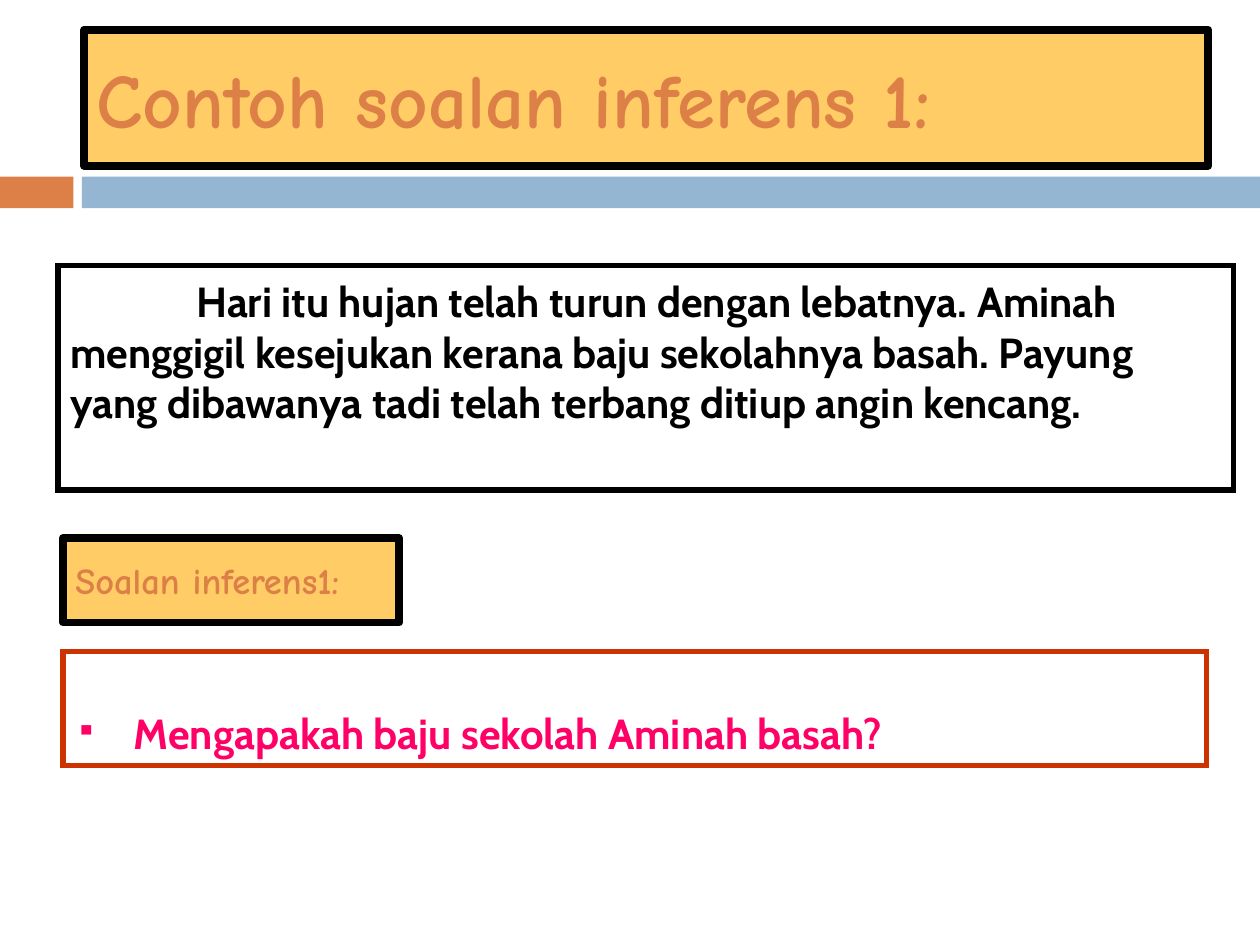
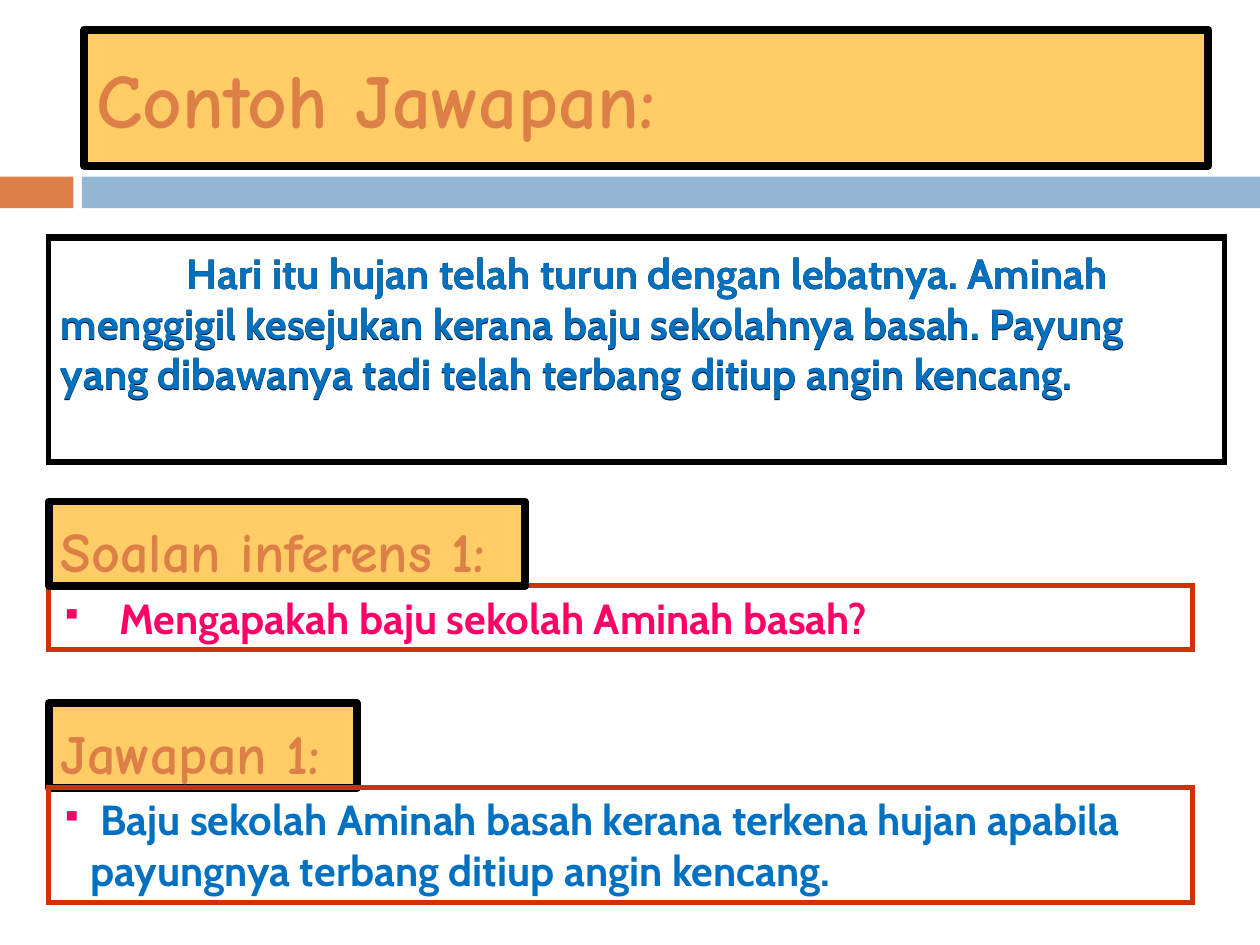
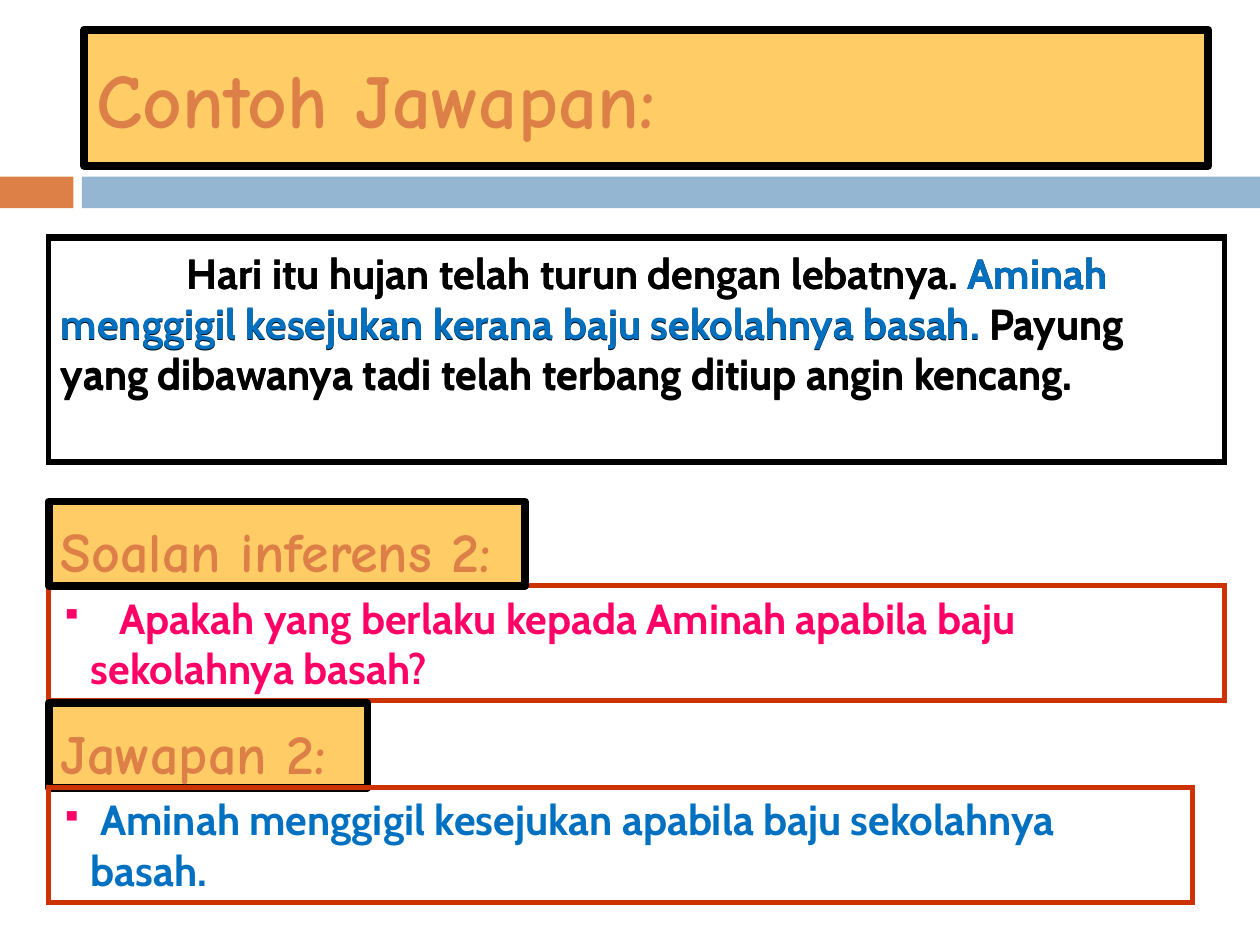
from dataclasses import dataclass

from lxml.etree import SubElement
from pptx import Presentation
from pptx.dml.color import RGBColor as Rgb
from pptx.enum.shapes import MSO_SHAPE as Preset
from pptx.enum.text import MSO_ANCHOR as Anchor, PP_ALIGN as Align
from pptx.oxml.ns import qn
from pptx.util import Cm, Pt


@dataclass(frozen=True)
class Theme:
    """Colours, fonts and type sizes that the slides share."""
    ink: str = "000000"
    orange: str = "DD8047"
    sky: str = "94B6D2"
    amber: str = "FFCC66"
    rust: str = "CC3300"
    pink: str = "FF0066"
    blue: str = "0070C0"
    display_font: str = "Comic Neue"
    body_font: str = "Cabin"
    title_size: float = 44
    tag_size: float = 32
    small_tag_size: float = 20.9
    body_size: float = 24
    thick: float = 4.5
    thin: float = 3


THEME = Theme()
LEFT = 0.98
FULL_WIDTH = 23.7
CARD_WIDTH = 23.06
TAG_HEIGHT = 1.7
STORY = (
    "Hari itu hujan telah turun dengan lebatnya. ",
    "Aminah menggigil kesejukan kerana baju sekolahnya basah. ",
    "Payung yang dibawanya tadi telah terbang ditiup angin kencang.",
)


def add_box(page, place, fill=None, line=None, weight=0):
    """Add a flat rectangle at (left, top, width, height) in centimetres."""
    box = page.shapes.add_shape(Preset.RECTANGLE, *map(Cm, place))
    box.shadow.inherit = False
    if fill:
        box.fill.solid()
        box.fill.fore_color.rgb = Rgb.from_string(fill)
    else:
        box.fill.background()
    if line:
        box.line.color.rgb = Rgb.from_string(line)
        box.line.width = Pt(weight)
    else:
        box.line.fill.background()
    return box


def square_corners(box):
    """Give the outline of a box sharp corners."""
    SubElement(box.line._get_or_add_ln(), qn("a:miter"), lim="800000")


def write(box, spans, font, size, anchor=Anchor.TOP, line_spacing=None):
    """Fill a box with one bold paragraph of (text, colour) spans."""
    frame = box.text_frame
    frame.word_wrap = True
    frame.vertical_anchor = anchor
    para = frame.paragraphs[0]
    para.alignment = Align.LEFT
    para.font.name = font
    para.font.size = Pt(size)
    para.font.bold = True
    if line_spacing:
        para.line_spacing = line_spacing
    for text, colour in spans:
        span = para.add_run()
        span.text = text
        span.font.color.rgb = Rgb.from_string(colour)
    return para


def indent(para, margin, first_line):
    """Set the left margin and first-line indent of a paragraph."""
    properties = para._p.get_or_add_pPr()
    properties.set("marL", str(Cm(margin)))
    properties.set("indent", str(Cm(first_line)))
    return properties


def add_tag(page, text, place, size, line_spacing=None):
    """Add an amber label with a thick black outline."""
    box = add_box(page, place, THEME.amber, THEME.ink, THEME.thick)
    write(box, [(text, THEME.orange)], THEME.display_font, size,
          Anchor.MIDDLE, line_spacing)


def add_story(page, left, top, colours):
    """Add the framed passage, one colour for each sentence."""
    box = add_box(page, (left, top, FULL_WIDTH, 4.52), None,
                  THEME.ink, THEME.thin)
    square_corners(box)
    box.text_frame.margin_top = Cm(0.2)
    para = write(box, zip(STORY, colours), THEME.body_font, THEME.body_size)
    indent(para, 0, 2.54)


def add_card(page, text, colour, place, lead_gap=0, line_spacing=None):
    """Add a rust-framed bullet whose first line starts after a gap in points."""
    box = add_box(page, place, None, THEME.rust, THEME.thin)
    square_corners(box)
    para = write(box, [(" ", THEME.pink), (text, colour)], THEME.body_font,
                 THEME.body_size, line_spacing=line_spacing)
    para.runs[0].font._element.set("spc", str(lead_gap * 100))
    properties = indent(para, 0.6, -0.6)
    SubElement(properties, qn("a:buSzPct"), val="70000")
    SubElement(properties, qn("a:buChar"), char="▪")


def add_question(page, text, place, line_spacing=None):
    """Add a pink question card."""
    add_card(page, text, THEME.pink, place, 11, line_spacing)


def add_page(deck, title):
    """Add a slide with the two bands and its title."""
    page = deck.slides.add_slide(deck.slide_layouts[6])
    add_box(page, (0, 3.56, 1.48, 0.64), THEME.orange)
    add_box(page, (1.65, 3.56, 23.75, 0.64), THEME.sky)
    add_tag(page, title, (1.7, 0.6, 22.66, 2.74), THEME.title_size)
    return page


def add_answer_page(deck, number, question, question_size, answer,
                    answer_tag_width, story_colours):
    """Add a slide with the passage, a question and its answer."""
    page = add_page(deck, "Contoh Jawapan:")
    add_story(page, LEFT, 4.8, [THEME.ink] * 3)
    add_question(page, question, (LEFT, 11.81, *question_size))
    for text, top, width in ((f"Soalan inferens {number}:", 10.11, 9.6),
                             (f"Jawapan {number}:", 14.18, answer_tag_width)):
        add_tag(page, text, (LEFT, top, width, TAG_HEIGHT),
                THEME.tag_size, 1.2)
    add_card(page, answer, THEME.blue, (LEFT, 15.88, CARD_WIDTH, 2.31))
    add_story(page, LEFT, 4.78, story_colours)


def main():
    """Build the deck and save it."""
    deck = Presentation()
    deck.slide_width, deck.slide_height = Cm(25.4), Cm(19.05)
    baju_question = "Mengapakah baju sekolah Aminah basah?"

    page = add_page(deck, "Contoh soalan inferens 1:")
    add_story(page, 1.17, 5.36, [THEME.ink] * 3)
    add_question(page, baju_question, (1.27, 13.13, CARD_WIDTH, 2.31), 2)
    add_tag(page, "Soalan inferens1:", (1.27, 10.85, 6.78, TAG_HEIGHT),
            THEME.small_tag_size)

    add_answer_page(
        deck, 1, baju_question, (CARD_WIDTH, 1.28),
        "Baju sekolah Aminah basah kerana terkena hujan apabila "
        "payungnya terbang ditiup angin kencang.",
        6.22, [THEME.blue] * 3)
    add_answer_page(
        deck, 2,
        "Apakah yang berlaku kepada Aminah apabila baju sekolahnya basah?",
        (FULL_WIDTH, 2.31),
        "Aminah menggigil kesejukan apabila baju sekolahnya basah.",
        6.43, [THEME.ink, THEME.blue, THEME.ink])
    deck.save("out.pptx")


if __name__ == "__main__":
    main()
